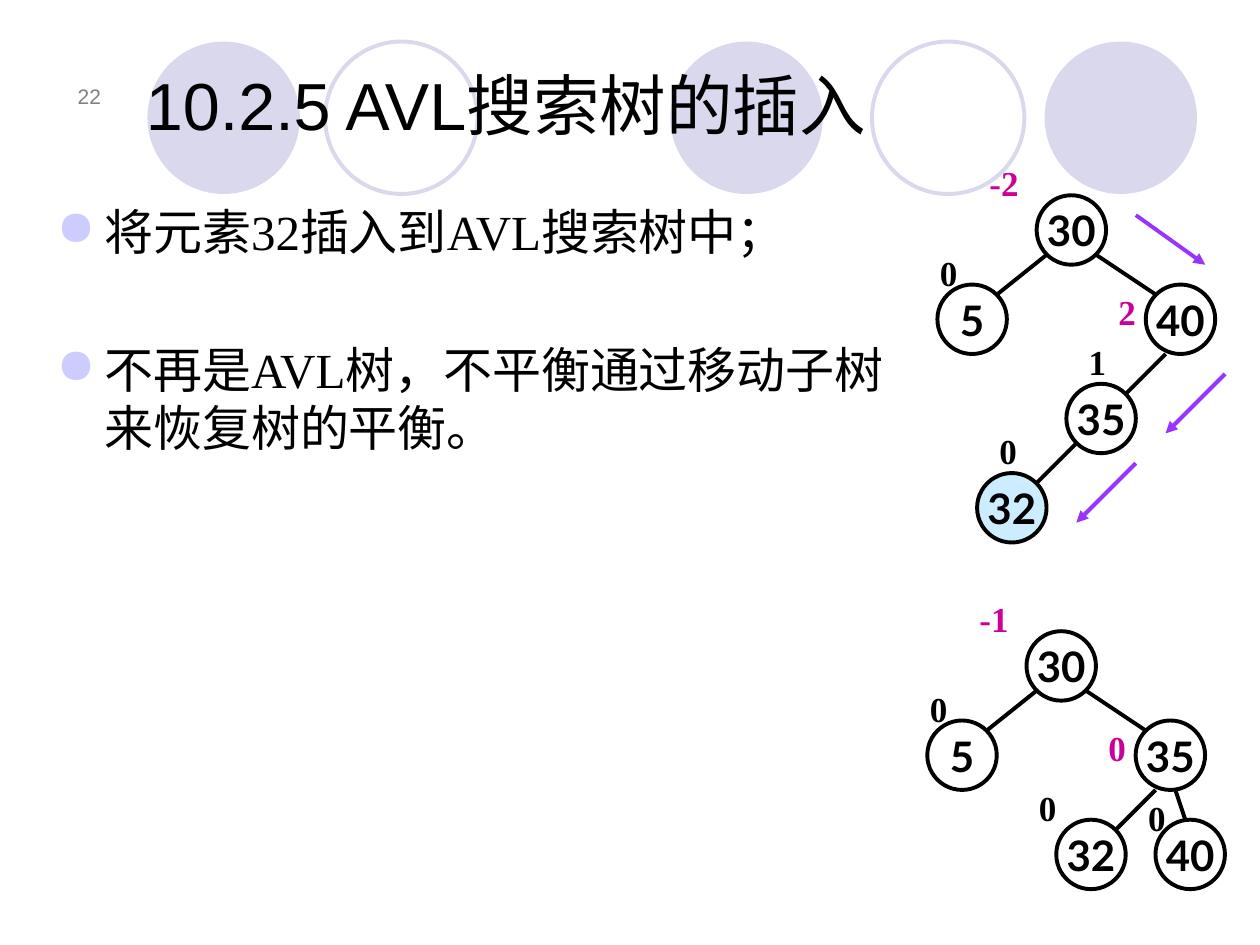
from lxml.etree import SubElement
from pptx import Presentation
from pptx.dml.color import RGBColor
from pptx.enum.shapes import MSO_CONNECTOR, MSO_SHAPE
from pptx.enum.text import MSO_ANCHOR, PP_ALIGN
from pptx.oxml.ns import qn
from pptx.util import Emu, Inches, Mm, Pt

COLOURS = {
    "ink": "000000", "ornament": "D9D8EC", "number": "808080", "bullet": "CCCCFF",
    "alert": "CC0099", "arrow": "9933FF", "inserted": "CCECFF",
}
CELL = Mm(2)  # side of one square of the tree grid
NODE_CELLS = 7
ORNAMENTS = [(5.32, True), (8.29, True), (1.17, True), (6.92, False), (2.58, False)]
BULLETS = ["将元素32插入到AVL搜索树中；",
           "不再是AVL树，不平衡通过移动子树来恢复树的平衡。"]

# Columns and rows are counted from the left of node 5 and the top of node 30.
SHARED_NODES = [("30", 10, 0), ("5", 0, 9)]
SHARED_EDGES = [(6, 10, 11, 6), (22, 10, 16, 6), (19, 20, 23, 16)]
TREES = [
    {
        "origin": (7.44, 1.55),
        "nodes": [("40", 21, 9), ("35", 13, 19), ("32", 4, 28, "inserted")],
        "edges": [(10, 29, 14, 25)],
        "factors": [("1", 14, 14), ("0", -1, 5), ("-2", 4, -4, "alert"),
                    ("2", 17, 9, "alert"), ("0", 5, 23)],
        "arrows": [(20, 2, 27, 7), (29, 18, 23, 24), (20, 27, 14, 33)],
    },
    {
        "origin": (7.36, 5.01),
        "nodes": [("35", 21, 9), ("32", 13, 19), ("40", 23, 19)],
        "edges": [(26, 19, 25, 16)],
        "factors": [("0", 10, 15), ("0", -1, 5), ("-1", 4, -4, "alert"),
                    ("0", 17, 9, "alert"), ("0", 21, 16)],
        "arrows": [],
    },
]


def colour(name):
    return RGBColor.from_string(COLOURS[name])


class TreePage:
    line_width = Pt(2.25)

    def __init__(self, deck):
        self.page = deck.slides.add_slide(deck.slide_layouts[6])
        self.origin = (0, 0)

    def start_tree(self, left, top):
        self.origin = (Inches(left), Inches(top))

    def at(self, column, row):
        """Turn a grid position of the current tree into slide lengths."""
        return Emu(self.origin[0] + column * CELL), Emu(self.origin[1] + row * CELL)

    def style(self, para, size, font, ink="ink", bold=False):
        para.font.size = Pt(size)
        para.font.name = font
        para.font.bold = bold
        para.font.color.rgb = colour(ink)

    def circle(self, left, top, side, fill=None, line=None):
        shape = self.page.shapes.add_shape(MSO_SHAPE.OVAL, left, top, side, side)
        shape.shadow.inherit = False
        if fill:
            shape.fill.solid()
            shape.fill.fore_color.rgb = colour(fill)
        else:
            shape.fill.background()
        if line:
            shape.line.color.rgb = colour(line)
            shape.line.width = self.line_width
        else:
            shape.line.fill.background()
        return shape

    def ornament(self, left, filled):
        self.circle(Inches(left), Inches(0.33), Inches(1.21),
                    fill="ornament" if filled else None,
                    line=None if filled else "ornament")

    def text(self, left, top, width, height, lines, size, font, ink="ink",
             bold=False, align=PP_ALIGN.LEFT, anchor=MSO_ANCHOR.TOP):
        box = self.page.shapes.add_textbox(left, top, width, height)
        frame = box.text_frame
        frame.word_wrap = True
        frame.vertical_anchor = anchor
        frame.text = "\n".join(lines)
        for para in frame.paragraphs:
            para.alignment = align
            self.style(para, size, font, ink, bold)
        return frame

    def bullets(self, left, top, width, height, lines):
        frame = self.text(left, top, width, height, lines, 28, "Times New Roman")
        for para in frame.paragraphs[1:]:
            para.space_before = Pt(45)
        for para in frame.paragraphs:
            properties = para._p.get_or_add_pPr()
            properties.set("marL", str(Inches(0.38)))
            properties.set("indent", str(-Inches(0.38)))
            tint = SubElement(properties, qn("a:buClr"))
            SubElement(tint, qn("a:srgbClr"), val=COLOURS["bullet"])
            SubElement(properties, qn("a:buChar"), char="●")
            # The schema wants the default run properties after the bullet.
            properties.append(properties.find(qn("a:defRPr")))

    def node(self, key, column, row, fill=None):
        shape = self.circle(*self.at(column, row), NODE_CELLS * CELL, fill, "ink")
        frame = shape.text_frame
        frame.word_wrap = False
        frame.vertical_anchor = MSO_ANCHOR.MIDDLE
        frame.text = key
        para = frame.paragraphs[0]
        para.alignment = PP_ALIGN.CENTER
        self.style(para, 24, "Lato", bold=True)

    def factor(self, value, column, row, ink="ink"):
        """Write a balance factor beside its node."""
        width = CELL * (4 if len(value) == 1 else NODE_CELLS)
        self.text(*self.at(column, row), width, Inches(0.43), [value],
                  20, "Times New Roman", ink, bold=True)

    def line(self, start_column, start_row, end_column, end_row, ink="ink", arrow=False):
        connector = self.page.shapes.add_connector(
            MSO_CONNECTOR.STRAIGHT,
            *self.at(start_column, start_row), *self.at(end_column, end_row))
        connector.line.color.rgb = colour(ink)
        connector.line.width = self.line_width
        if arrow:
            SubElement(connector.line._get_or_add_ln(), qn("a:tailEnd"), type="triangle")
        SubElement(connector._element.spPr, qn("a:effectLst"))

    def tree(self, origin, nodes, edges, factors, arrows):
        self.start_tree(*origin)
        for edge in SHARED_EDGES + edges:
            self.line(*edge)
        for node in SHARED_NODES + nodes:
            self.node(*node)
        for factor in factors:
            self.factor(*factor)
        for arrow in arrows:
            self.line(*arrow, ink="arrow", arrow=True)


def main():
    deck = Presentation()
    deck.slide_width, deck.slide_height = Inches(10), Inches(7.5)
    page = TreePage(deck)
    for left, filled in ORNAMENTS:
        page.ornament(left, filled)
    page.text(Inches(0.35), Inches(0.44), Inches(0.55), Inches(0.47), ["22"], 12, "Arial",
              "number", align=PP_ALIGN.RIGHT, anchor=MSO_ANCHOR.BOTTOM)
    page.text(Inches(1.06), Inches(0.44), Inches(8.47), Inches(0.75),
              ["10.2.5 AVL搜索树的插入"], 38, "Arial", anchor=MSO_ANCHOR.BOTTOM)
    page.bullets(Inches(0.35), Inches(1.55), Inches(7.01), Inches(5.67), BULLETS)
    for tree in TREES:
        page.tree(**tree)
    deck.save("out.pptx")


if __name__ == "__main__":
    main()
